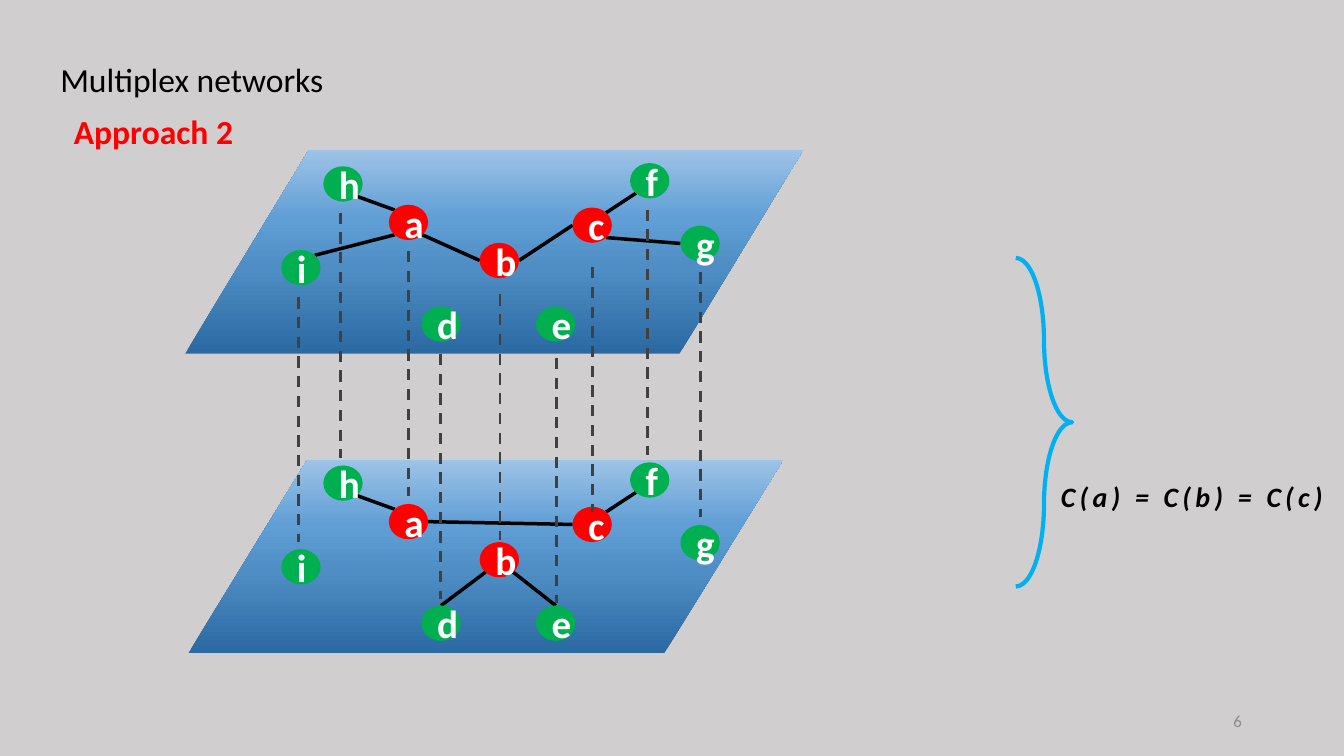
from lxml.etree import SubElement
from pptx import Presentation
from pptx.dml.color import RGBColor
from pptx.enum.dml import MSO_LINE
from pptx.enum.shapes import MSO_CONNECTOR, MSO_SHAPE
from pptx.enum.text import MSO_ANCHOR, PP_ALIGN
from pptx.oxml.ns import qn
from pptx.util import Cm, Pt

FONT = "Calibri"
BACKGROUND = RGBColor(0xD0, 0xCE, 0xCE)
BLACK = RGBColor(0x00, 0x00, 0x00)
WHITE = RGBColor(0xFF, 0xFF, 0xFF)
RED = RGBColor(0xFF, 0x00, 0x00)
GREEN = RGBColor(0x00, 0xB0, 0x50)
SKY = RGBColor(0x00, 0xB0, 0xF0)
DARK_GREY = RGBColor(0x40, 0x40, 0x40)
PAGE_GREY = RGBColor(0x8C, 0x8C, 0x8C)
PLANE_STOPS = [
    (0, RGBColor(0x2A, 0x69, 0xA2)),
    (42, RGBColor(0x4F, 0x8D, 0xC5)),
    (66, RGBColor(0x60, 0x9E, 0xD6)),
    (100, RGBColor(0x9D, 0xC3, 0xE6)),
]

NODE_WIDTH, NODE_HEIGHT = 0.99, 0.89
LAYER_GAP = 7.54
LINK_LENGTH = 6.18
COMMUNITY = "abc"
NODES = {
    "a": (9.8, 5.16), "b": (12.09, 6.12), "c": (14.43, 5.23),
    "d": (10.62, 7.72), "e": (13.51, 7.72), "f": (15.88, 4.11),
    "g": (17.15, 5.69), "h": (8.15, 4.19), "i": (7.09, 6.3),
}
SITES = {
    "top": (0.5, 0), "left": (0, 0.5), "right": (1, 0.5),
    "top left": (0.15, 0.15), "top right": (0.85, 0.15),
    "bottom left": (0.15, 0.85), "bottom right": (0.85, 0.85),
}
SHARED_EDGES = [
    ("h", "bottom right", "a", "top left"),
    ("c", "top right", "f", "bottom left"),
]
LOWER_EDGES = SHARED_EDGES + [
    ("a", "right", "c", "left"),
    ("d", "top", "b", "bottom left"),
    ("b", "bottom right", "e", "top"),
]
UPPER_EDGES = SHARED_EDGES + [
    ("a", "bottom right", "b", "left"),
    ("b", "right", "c", "left"),
    ("i", "top right", "a", "bottom left"),
    ("c", "bottom right", "g", "left"),
]
LAYERS = [
    ((4.75, 11.58, 14.99, 4.88), LAYER_GAP, LOWER_EDGES),
    ((4.67, 3.78, 15.57, 5.13), 0, UPPER_EDGES),
]
LINK_STARTS = [
    (7.52, 7.49), (8.59, 5.36), (10.29, 6.32), (11.1, 8.92), (12.6, 7.42),
    (14.02, 9.02), (14.94, 6.73), (16.31, 5.28), (17.65, 6.86),
]


class NetworkSlide:
    """Draws the elements of a multiplex network in one style on one slide."""

    def __init__(self, page):
        self.page = page
        self.shapes = page.shapes
        page.background.fill.solid()
        page.background.fill.fore_color.rgb = BACKGROUND

    def shape(self, kind, place):
        shape = self.shapes.add_shape(kind, *map(Cm, place))
        shape.shadow.inherit = False
        shape.line.fill.background()
        return shape

    def span(self, para, text, size, color, bold=False, italic=False, spacing=0):
        span = para.add_run()
        span.text = text
        span.font.name = FONT
        span.font.size = Pt(size)
        span.font.color.rgb = color
        span.font.bold = bold
        span.font.italic = italic
        if spacing:
            span.font._element.set("spc", str(spacing * 100))

    def text(self, place, text, size, color, align=PP_ALIGN.LEFT,
             anchor=MSO_ANCHOR.TOP, **style):
        box = self.shapes.add_textbox(*map(Cm, place))
        box.text_frame.word_wrap = True
        box.text_frame.vertical_anchor = anchor
        para = box.text_frame.paragraphs[0]
        para.alignment = align
        self.span(para, text, size, color, **style)

    def line(self, start, end, color, width, dash=None):
        line = self.shapes.add_connector(
            MSO_CONNECTOR.STRAIGHT, *map(Cm, (*start, *end)))
        line.line.color.rgb = color
        line.line.width = Pt(width)
        if dash:
            line.line.dash_style = dash
        SubElement(line._element.spPr, qn("a:effectLst"))

    def plane(self, place):
        plane = self.shape(MSO_SHAPE.FLOWCHART_DATA, place)
        plane.fill.gradient()
        plane.fill.gradient_angle = 90
        stops = plane._element.spPr.find(".//" + qn("a:gsLst"))
        for stop in list(stops):
            stops.remove(stop)
        for percent, color in PLANE_STOPS:
            stop = SubElement(stops, qn("a:gs"), pos=str(percent * 1000))
            SubElement(stop, qn("a:srgbClr"), val=str(color))

    def node(self, name, drop):
        left, top = NODES[name]
        node = self.shape(MSO_SHAPE.OVAL, (left, top + drop, NODE_WIDTH, NODE_HEIGHT))
        node.fill.solid()
        node.fill.fore_color.rgb = RED if name in COMMUNITY else GREEN
        node.text_frame.vertical_anchor = MSO_ANCHOR.MIDDLE
        para = node.text_frame.paragraphs[0]
        para.alignment = PP_ALIGN.CENTER
        self.span(para, name, 28, WHITE, bold=True)

    def edge(self, source, source_site, target, target_site, drop):
        ends = []
        for name, site in ((source, source_site), (target, target_site)):
            left, top = NODES[name]
            across, down = SITES[site]
            ends.append((left + across * NODE_WIDTH, top + down * NODE_HEIGHT + drop))
        self.line(*ends, BLACK, 2.5)

    def layer(self, place, drop, edges):
        self.plane(place)
        for edge in edges:
            self.edge(*edge, drop)
        for name in NODES:
            self.node(name, drop)

    def brace(self, place):
        brace = self.shape(MSO_SHAPE.RIGHT_BRACE, place)
        brace.fill.background()
        brace.adjustments[0] = 1.465
        brace.adjustments[1] = 0.5
        brace.line.color.rgb = SKY
        brace.line.width = Pt(3)


def main():
    deck = Presentation()
    deck.slide_width, deck.slide_height = Cm(33.87), Cm(19.05)
    slide = NetworkSlide(deck.slides.add_slide(deck.slide_layouts[6]))
    for place, drop, edges in LAYERS:
        slide.layer(place, drop, edges)
    for left, top in LINK_STARTS:
        slide.line((left, top), (left, top + LINK_LENGTH), DARK_GREY, 2, MSO_LINE.DASH)
    slide.text((1.09, 2.67, 5.56, 1.27), "Approach 2", 24, RED, PP_ALIGN.CENTER, bold=True)
    slide.brace((25.6, 6.5, 1.42, 8.28))
    slide.text((26.21, 11.96, 7.66, 1.12), "C(a) = C(b) = C(c)", 20, BLACK,
               PP_ALIGN.CENTER, bold=True, italic=True, spacing=3)
    slide.text((23.93, 17.65, 7.62, 1.02), "6", 12, PAGE_GREY,
               PP_ALIGN.RIGHT, MSO_ANCHOR.MIDDLE)
    slide.text((1.27, 1.37, 7.77, 1.27), "Multiplex networks", 24, BLACK)
    deck.save("out.pptx")


if __name__ == "__main__":
    main()
